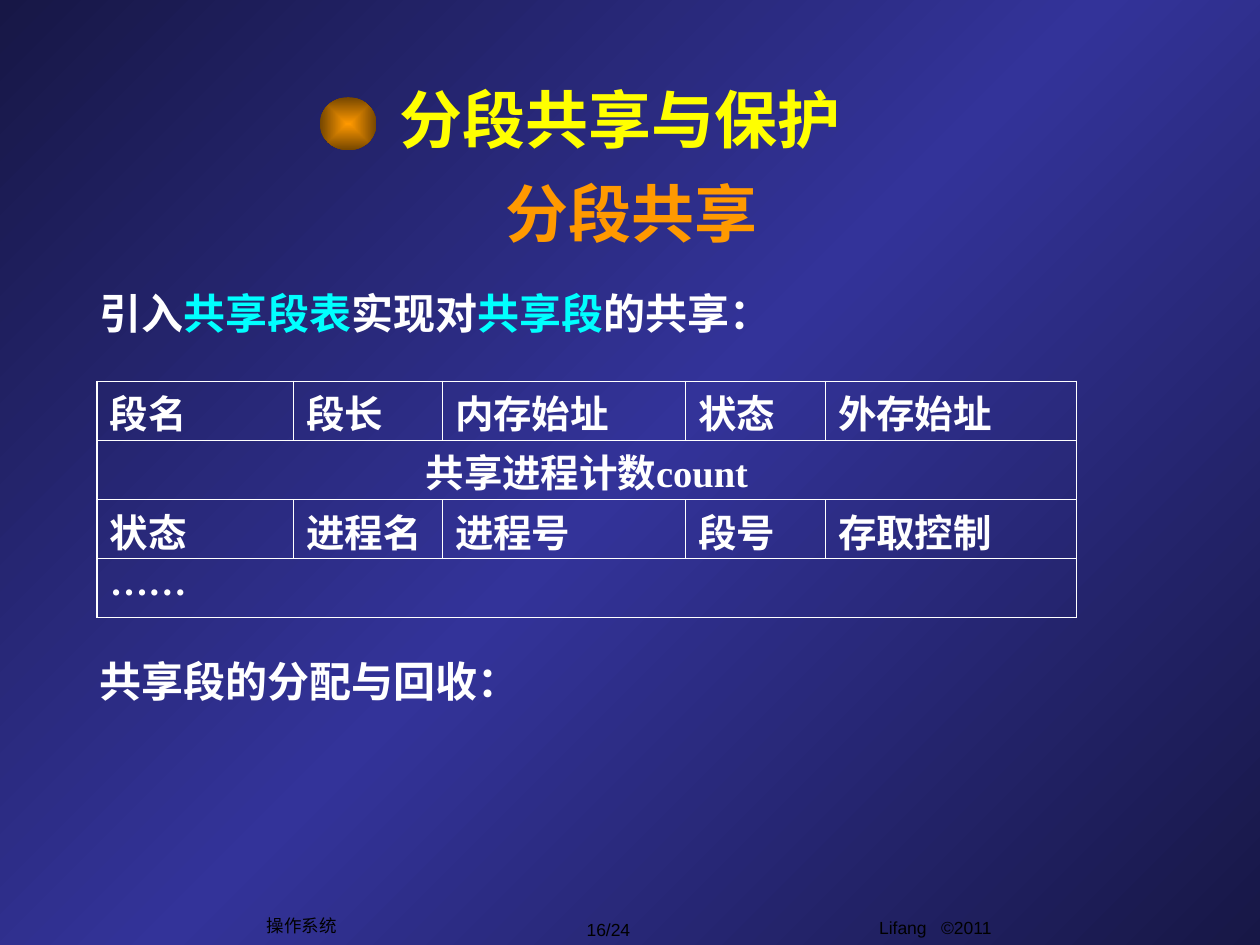
"""Build the slide on segment sharing and protection."""
from lxml import etree
from pptx import Presentation, util as u
from pptx.dml.color import RGBColor
from pptx.enum import shapes, text
from pptx.oxml import ns, parse_xml

COLORS = {
    "night": "171746", "indigo": "333399", "white": "FFFFFF", "cyan": "00FFFF",
    "yellow": "FFFF00", "orange": "FF9900", "brown": "754600", "black": "000000",
}
CJK_FONT = "Noto Sans CJK SC"
ROWS = [
    ["段名", "段长", "内存始址", "状态", "外存始址"],
    ["共享进程计数count"],
    ["状态", "进程名", "进程号", "段号", "存取控制"],
    ["……"],
]
COLUMN_WIDTHS = [3.96, 3, 4.9, 2.82, 5.06]
ROW_HEIGHT = 1.19
FOOTERS = [
    ("操作系统", (5.13, 18.31, 1.9, 0.69), "MIDDLE"),
    ("16/24", (10.97, 18.39, 2.59, 0.69), "MIDDLE"),
    ("Lifang   ©2011", (14.83, 18.36, 8.05, 0.89), "TOP"),
]


def write(para, content, size, color="white", font="Times New Roman", bold=True, align="LEFT"):
    """Append one formatted span of text to a paragraph."""
    para.alignment = getattr(text.PP_ALIGN, align)
    span = para.add_run()
    span.text = content
    span.font.size = u.Pt(size)
    span.font.bold = bold
    span.font.name = font
    span.font.color.rgb = RGBColor.from_string(COLORS[color])
    latin = span.font._element.find(ns.qn("a:latin"))
    east_asian = etree.Element(ns.qn("a:ea"), typeface=CJK_FONT)
    latin.addnext(east_asian)


def add_box(page, bounds, spans, anchor="MIDDLE", wrap=True, **style):
    """Add a text box holding one paragraph of (text, color) spans."""
    box = page.shapes.add_textbox(*map(u.Cm, bounds))
    frame = box.text_frame
    frame.word_wrap = wrap
    frame.auto_size = text.MSO_AUTO_SIZE.NONE
    frame.vertical_anchor = getattr(text.MSO_ANCHOR, anchor)
    for content, color in spans:
        write(frame.paragraphs[0], content, color=color, **style)


def set_gradient(fill, element, stops, direction):
    """Fill with a gradient of (percent, color) stops and a direction in XML."""
    fill.gradient()
    marks = "".join(
        f'<a:gs pos="{percent * 1000}"><a:srgbClr val="{COLORS[color]}"/></a:gs>'
        for percent, color in stops
    )
    old = element.find(".//" + ns.qn("a:gradFill"))
    new = parse_xml(
        f'<a:gradFill {ns.nsdecls("a")} rotWithShape="1">'
        f"<a:gsLst>{marks}</a:gsLst>{direction}</a:gradFill>"
    )
    old.getparent().replace(old, new)


def add_ball(page):
    """Add the shaded ball in front of the title."""
    ball = page.shapes.add_shape(
        shapes.MSO_SHAPE.OVAL, u.Cm(6.45), u.Cm(1.96), u.Cm(1.14), u.Cm(1.07)
    )
    ball.shadow.inherit = False
    ball.line.fill.background()
    set_gradient(
        ball.fill, ball._element, [(0, "orange"), (100, "brown")],
        '<a:path path="rect"><a:fillToRect l="50000" t="50000" r="50000" b="50000"/></a:path>',
    )


def set_borders(cell, outer_sides):
    """Draw white borders, thicker on the outer sides of the table."""
    properties = cell._tc.get_or_add_tcPr()
    for index, side in enumerate("LRTB"):
        width = u.Pt(1.08 if side in outer_sides else 0.45)
        properties.insert(index, parse_xml(
            f'<a:ln{side} {ns.nsdecls("a")} w="{width}"><a:solidFill>'
            f'<a:srgbClr val="{COLORS["white"]}"/></a:solidFill></a:ln{side}>'
        ))


def add_segment_table(page):
    """Add the shared segment table, with single-entry rows merged across."""
    count = len(COLUMN_WIDTHS)
    table = page.shapes.add_table(
        len(ROWS), count, u.Cm(1.96), u.Cm(7.69),
        u.Cm(sum(COLUMN_WIDTHS)), u.Cm(ROW_HEIGHT * len(ROWS)),
    ).table
    table.first_row = table.horz_banding = False
    for column, width in zip(table.columns, COLUMN_WIDTHS):
        column.width = u.Cm(width)
    for row, labels in enumerate(ROWS):
        table.rows[row].height = u.Cm(ROW_HEIGHT)
        if len(labels) == 1:
            table.cell(row, 0).merge(table.cell(row, count - 1))
        for column in range(count):
            cell = table.cell(row, column)
            cell.fill.background()
            cell.margin_top, cell.margin_bottom = u.Cm(0.06), 0
            if column >= len(labels):
                continue
            edges = {"L": column == 0, "R": column == len(labels) - 1,
                     "T": row == 0, "B": row == len(ROWS) - 1}
            set_borders(cell, [side for side, outer in edges.items() if outer])
            write(cell.text_frame.paragraphs[0], labels[column], 22,
                  align="CENTER" if row == 1 else "LEFT")


def main():
    """Assemble and save the deck."""
    deck = Presentation()
    deck.slide_width, deck.slide_height = u.Cm(25.4), u.Cm(19.05)
    page = deck.slides.add_slide(deck.slide_layouts[6])
    set_gradient(
        page.background.fill, page._element,
        [(0, "night"), (50, "indigo"), (100, "night")], '<a:lin ang="2700000" scaled="0"/>',
    )
    for label, bounds, anchor in FOOTERS:
        add_box(page, bounds, [(label, "black")], anchor, wrap=anchor == "TOP",
                size=10, font="Arial", bold=False, align="CENTER")
    add_box(page, (1.75, 5.66, 14.22, 1.27), [
        ("引入", "white"), ("共享段表", "cyan"), ("实现对", "white"),
        ("共享段", "cyan"), ("的共享：", "white"),
    ], size=24)
    add_ball(page)
    add_segment_table(page)
    add_box(page, (1.75, 13.08, 14.22, 1.27), [("共享段的分配与回收：", "white")], size=24)
    heading = {"size": 36, "font": CJK_FONT, "align": "CENTER"}
    add_box(page, (2.01, 1.5, 20.98, 1.78), [("分段共享与保护", "yellow")], **heading)
    add_box(page, (2.24, 3.4, 20.98, 1.78), [("分段共享", "orange")], **heading)
    deck.save("out.pptx")


if __name__ == "__main__":
    main()
